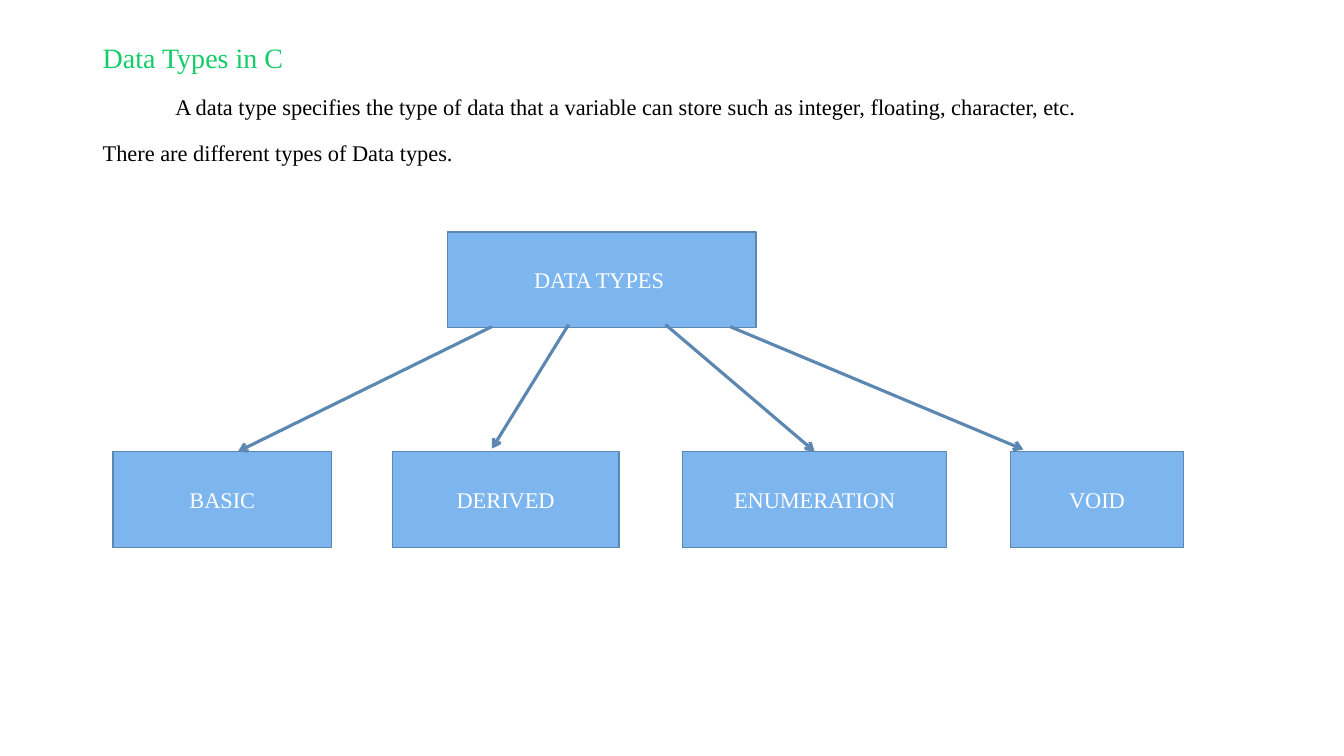
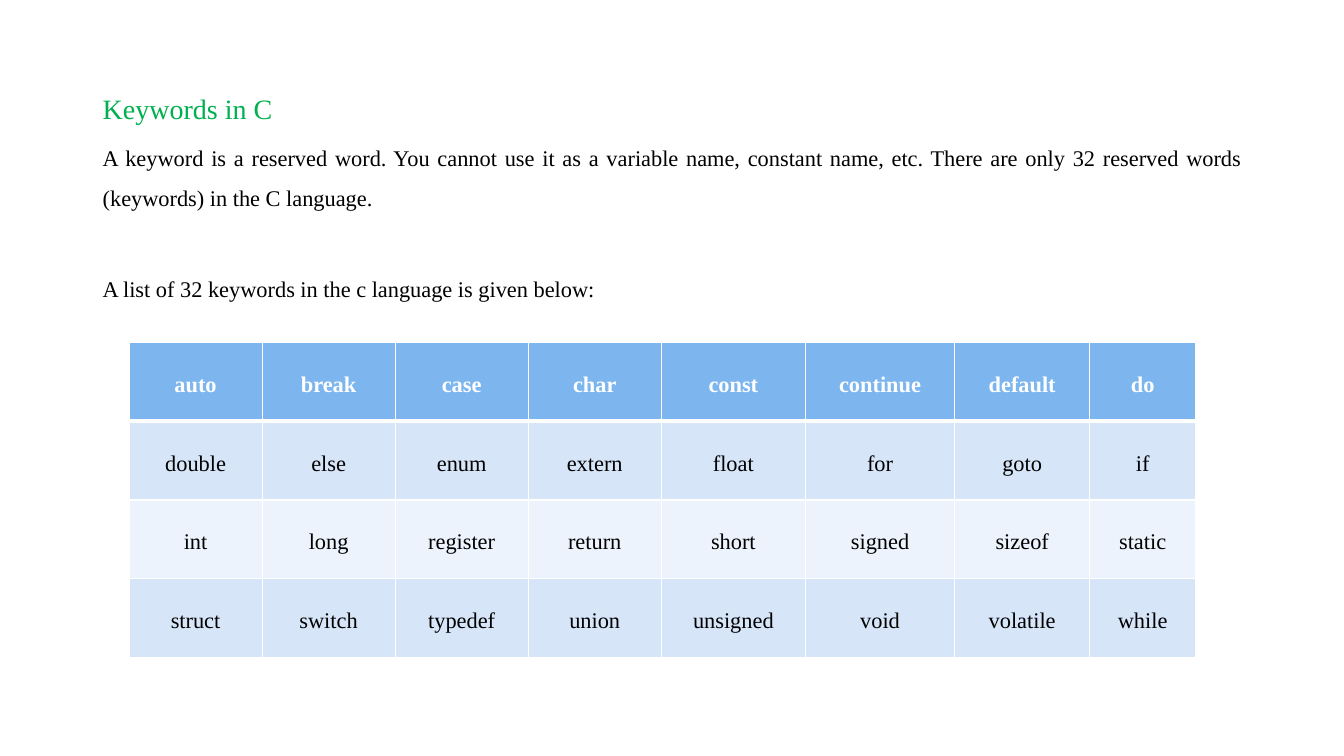
import pptx
import pptx.dml.color
import pptx.enum.shapes
import pptx.enum.text
import pptx.oxml
import pptx.oxml.ns
import pptx.util
from pptx.util import Inches

COLORS = {
    "bright_green": "14CD68",
    "green": "00B050",
    "text": "000000",
    "white": "FFFFFF",
    "blue": "7DB6EF",
    "outline": "5C87B1",
    "band_dark": "D7E5F9",
    "band_light": "ECF3FC",
}
ALIGN = pptx.enum.text.PP_ALIGN


def rgb(name):
    return pptx.dml.color.RGBColor.from_string(COLORS[name])


def element(tag, content="", **attributes):
    """Build an element of the a: namespace."""
    settings = "".join(f' {key}="{value}"' for key, value in attributes.items())
    return pptx.oxml.parse_xml(
        f'<a:{tag} {pptx.oxml.ns.nsdecls("a")}{settings}>{content}</a:{tag}>')


class Deck:
    font = "Times New Roman"
    title_size = 20
    body_size = 16
    margin = 0.92
    text_width = 11.5

    def __init__(self):
        self.presentation = pptx.Presentation()
        self.presentation.slide_width = Inches(13.33)
        self.presentation.slide_height = Inches(7.5)
        self.slide = None

    def new_slide(self):
        blank = self.presentation.slide_layouts[6]
        self.slide = self.presentation.slides.add_slide(blank)

    def set_text(self, paragraph, text, color, align, size=body_size, bold=False):
        paragraph.text = text
        paragraph.alignment = align
        for run in paragraph.runs:
            run.font.name = self.font
            run.font.size = pptx.util.Pt(size)
            run.font.bold = bold
            run.font.color.rgb = rgb(color)

    def prose(self, top, height, title, title_color, body):
        """Add a title and body paragraphs, given as (text, space before, indent)."""
        box = self.slide.shapes.add_textbox(
            Inches(self.margin), Inches(top), Inches(self.text_width), Inches(height))
        frame = box.text_frame
        frame.word_wrap = True
        heading = frame.paragraphs[0]
        heading.line_spacing = 1.5
        self.set_text(heading, title, title_color, ALIGN.JUSTIFY, self.title_size)
        for text, space_before, indent in body:
            paragraph = frame.add_paragraph()
            paragraph.line_spacing = 1.5
            paragraph.space_before = pptx.util.Pt(space_before)
            self.set_text(paragraph, text, "text", ALIGN.JUSTIFY)
            if indent:
                paragraph._p.get_or_add_pPr().set("indent", str(Inches(indent)))

    def node(self, label, left, top, width, height=0.95):
        box = self.slide.shapes.add_shape(
            pptx.enum.shapes.MSO_SHAPE.RECTANGLE,
            Inches(left), Inches(top), Inches(width), Inches(height))
        box.shadow.inherit = False
        box.fill.solid()
        box.fill.fore_color.rgb = rgb("blue")
        box.line.color.rgb = rgb("outline")
        box.line.width = pptx.util.Pt(1)
        box.text_frame.vertical_anchor = pptx.enum.text.MSO_ANCHOR.MIDDLE
        self.set_text(box.text_frame.paragraphs[0], label, "white", ALIGN.CENTER)
        return box

    def arrow(self, start, end, target=None):
        """Draw an arrow; a target is joined at the middle of its top side."""
        arrow = self.slide.shapes.add_connector(
            pptx.enum.shapes.MSO_CONNECTOR.STRAIGHT,
            *(Inches(value) for value in start + end))
        if target is not None:
            arrow.end_connect(target, 0)
        arrow.line.color.rgb = rgb("outline")
        arrow.line.width = pptx.util.Pt(2.25)
        arrow.line._get_or_add_ln().append(element("tailEnd", type="arrow"))
        arrow._element.spPr.append(element("effectLst"))

    def cell_borders(self, cell, **widths):
        """Give the cell white borders of 1 pt, unless a side is named."""
        white_fill = f'<a:solidFill><a:srgbClr val="{COLORS["white"]}"/></a:solidFill>'
        for side in ("L", "R", "T", "B"):
            width = pptx.util.Pt(widths.get(side, 1))
            cell._tc.get_or_add_tcPr().append(
                element(f"ln{side}", white_fill, w=width))

    def table(self, left, top, column_widths, row_height, rows):
        table = self.slide.shapes.add_table(
            len(rows), len(column_widths), Inches(left), Inches(top),
            Inches(sum(column_widths)), Inches(row_height * len(rows))).table
        for column, width in zip(table.columns, column_widths):
            column.width = Inches(width)
        for row_number, words in enumerate(rows):
            header = row_number == 0
            if header:
                fill, borders = "blue", {"B": 3}
            else:
                fill = "band_dark" if row_number % 2 else "band_light"
                borders = {"T": 3} if row_number == 1 else {}
            for column_number, word in enumerate(words):
                cell = table.cell(row_number, column_number)
                self.cell_borders(cell, **borders)
                cell.fill.solid()
                cell.fill.fore_color.rgb = rgb(fill)
                paragraph = cell.text_frame.paragraphs[0]
                paragraph.line_spacing = 2.0
                self.set_text(paragraph, word, "white" if header else "text",
                              ALIGN.CENTER, bold=header)


def data_types_slide(deck):
    deck.new_slide()
    deck.prose(0.19, 1.7, "Data Types in C", "bright_green", [
        ("A data type specifies the type of data that a variable can store "
         "such as integer, floating, character, etc.", 4, 0.72),
        ("There are different types of Data types.", 4, 0),
    ])
    deck.node("DATA TYPES ", 4.44, 2.3, 3.06)
    kinds = {
        label: deck.node(label, left, 4.48, width)
        for label, left, width in [
            ("BASIC", 1.12, 2.17),
            ("DERIVED", 3.89, 2.25),
            ("ENUMERATION", 6.77, 2.62),
            ("VOID", 10.02, 1.72),
        ]
    }
    deck.arrow((4.88, 3.24), (2.36, 4.48))
    deck.arrow((7.24, 3.24), (10.15, 4.46))
    deck.arrow((5.64, 3.22), (4.88, 4.45))
    deck.arrow((6.6, 3.22), (8.08, 4.48), kinds["ENUMERATION"])


def keywords_slide(deck):
    deck.new_slide()
    deck.prose(0.69, 2.5, "Keywords in C", "green", [
        ("A keyword is a reserved word. You cannot use it as a variable name, "
         "constant name, etc. There are only 32 reserved words (keywords) "
         "in the C language.", 4, 0),
        ("A list of 32 keywords in the c language is given below:", 36, 0),
    ])
    keywords = [line.split() for line in (
        "auto break case char const continue default do",
        "double else enum extern float for goto if",
        "int long register return short signed sizeof static",
        "struct switch typedef union unsigned void volatile while",
    )]
    deck.table(1.28, 3.4, [1.32] * 4 + [1.43, 1.48, 1.34, 1.05], 0.78, keywords)


def main():
    deck = Deck()
    data_types_slide(deck)
    keywords_slide(deck)
    deck.presentation.save("out.pptx")


if __name__ == "__main__":
    main()
